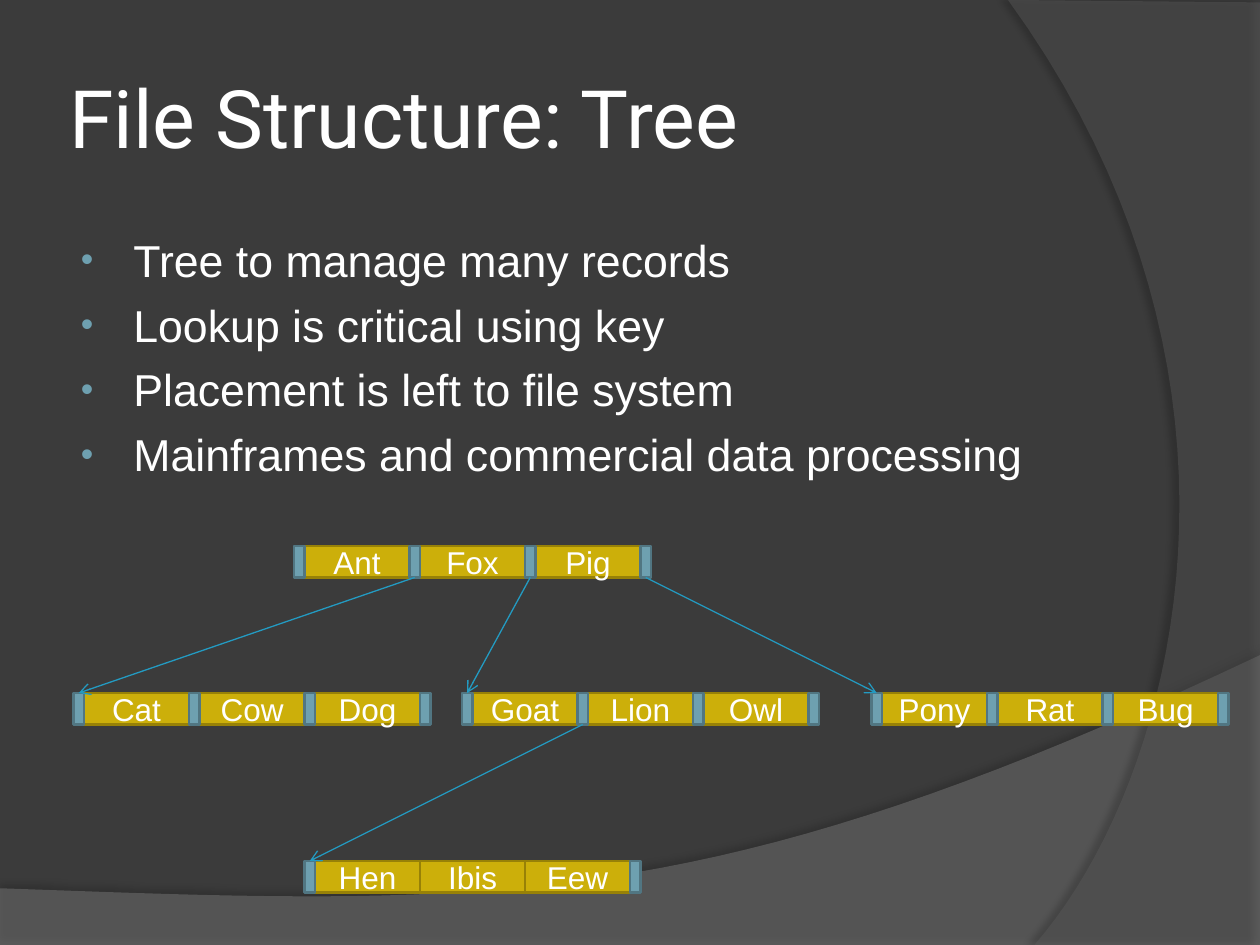
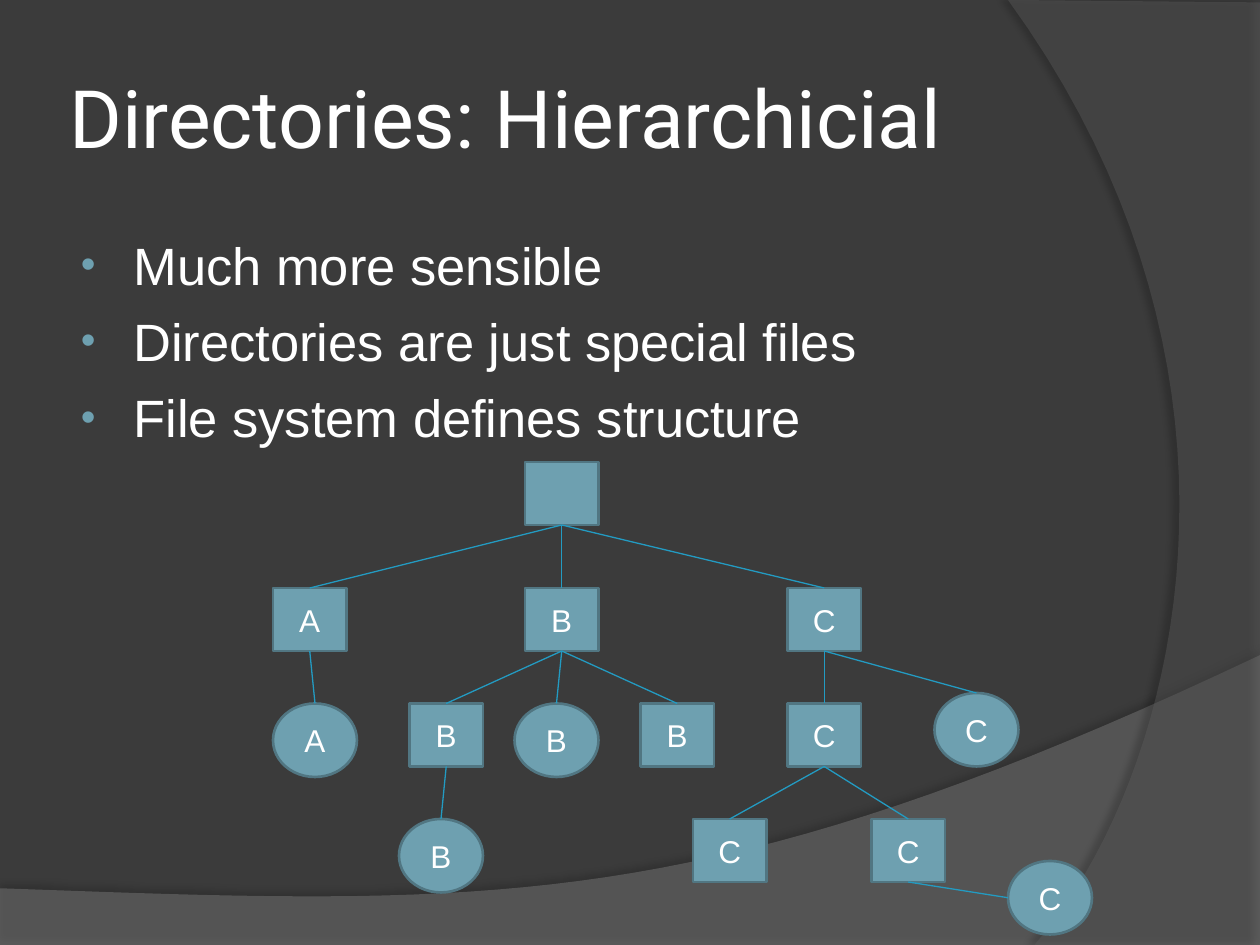
"""Builds two slides on file trees and directory trees."""
from lxml import etree
from pptx import Presentation
from pptx import util as u
from pptx.dml.color import RGBColor
from pptx.enum import shapes, text
from pptx.oxml import ns

COLORS = {
    "background": "3B3B3B", "band": "7F7F7F", "swoosh": "5E5E5E", "shadow": "000000",
    "text": "FFFFFF", "accent": "6EA0B0", "accent_edge": "517682",
    "record": "CCAF0A", "record_edge": "978107", "link": "239BC2",
}
SLIDE_WIDTH, SLIDE_HEIGHT = 720, 540
RECORD_WIDTH, RECORD_HEIGHT, POINTER_WIDTH = 60, 18, 6
FOLDER, FILE = shapes.MSO_SHAPE.RECTANGLE, shapes.MSO_SHAPE.OVAL
NODE_SIZES = {FOLDER: (42, 36), FILE: (48, 42)}
TOP, BOTTOM = 0, 2

RECORD_ROWS = {
    "root": (168, 312, ["Ant", "Fox", "Pig"], True),
    "left": (42, 396, ["Cat", "Cow", "Dog"], True),
    "middle": (264, 396, ["Goat", "Lion", "Owl"], True),
    "right": (498, 396, ["Pony", "Rat", "Bug"], True),
    "leaf": (174, 492, ["Hen", "Ibis", "Eew"], False),
}
RECORD_LINKS = [("root", 1, "left"), ("root", 2, "middle"),
                ("root", 3, "right"), ("middle", 1, "leaf")]

DIRECTORY_NODES = {
    "root": (FOLDER, 300, 264, ""),
    "a": (FOLDER, 156, 336, "A"),
    "b": (FOLDER, 300, 336, "B"),
    "c": (FOLDER, 450, 336, "C"),
    "a file": (FILE, 156, 402, "A"),
    "b left": (FOLDER, 234, 402, "B"),
    "b file": (FILE, 294, 402, "B"),
    "b right": (FOLDER, 366, 402, "B"),
    "c left": (FOLDER, 450, 402, "C"),
    "c file": (FILE, 534, 396, "C"),
    "b deep file": (FILE, 228, 468, "B"),
    "c deep left": (FOLDER, 396, 468, "C"),
    "c deep right": (FOLDER, 498, 468, "C"),
    "c deep file": (FILE, 576, 492, "C"),
}
DIRECTORY_CHILDREN = {
    "root": ["a", "b", "c"],
    "a": ["a file"],
    "b": ["b left", "b file", "b right"],
    "b left": ["b deep file"],
    "c": ["c left", "c file"],
    "c left": ["c deep left", "c deep right"],
}


def rgb(name):
    return RGBColor.from_string(COLORS[name])


def add_xml(parent, tag, **attributes):
    return etree.SubElement(parent, ns.qn(tag), attributes)


def place(shape, left, top, width, height):
    shape.left, shape.top = u.Pt(left), u.Pt(top)
    shape.width, shape.height = u.Pt(width), u.Pt(height)


def write(paragraph, content, size=18, font="Arial", color="text",
          align=text.PP_ALIGN.LEFT, before=0):
    paragraph.alignment = align
    paragraph.space_before = u.Pt(before)
    run = paragraph.add_run()
    run.text = content
    run.font.size, run.font.name = u.Pt(size), font
    run.font.color.rgb = rgb(color)


def add_bullet(paragraph):
    properties = paragraph._p.get_or_add_pPr()
    properties.set("marL", str(u.Pt(33)))
    properties.set("indent", str(u.Pt(-30)))
    add_xml(add_xml(properties, "a:buClr"), "a:srgbClr", val=COLORS["accent"])
    add_xml(properties, "a:buSzPct", val="80000")
    add_xml(properties, "a:buFont", typeface="Arial")
    add_xml(properties, "a:buChar", char="•")


def curve(start, first, second, end, steps=40):
    """Returns points along a cubic curve, without its start."""
    points = []
    for step in range(1, steps + 1):
        t = step / steps
        weights = ((1 - t) ** 3, 3 * t * (1 - t) ** 2, 3 * t * t * (1 - t), t ** 3)
        points.append(tuple(sum(w * p[axis] for w, p in zip(weights, (start, first, second, end)))
                            for axis in (0, 1)))
    return points


def add_backdrop(slide, layout, position, points, color, opacity, shade, distance, direction):
    (left, top), *others = [(u.Pt(x), u.Pt(y)) for x, y in points]
    builder = slide.shapes.build_freeform(left, top)
    builder.add_line_segments(others, close=True)
    shape = builder.convert_to_shape()
    shape.fill.solid()
    shape.fill.fore_color.rgb = rgb(color)
    shape.line.fill.background()
    shape.shadow.inherit = False
    properties = shape.element.spPr
    fill_color = properties.find(ns.qn("a:solidFill"))[0]
    add_xml(fill_color, "a:alpha", val=str(opacity * 1000))
    shadow = add_xml(properties.find(ns.qn("a:effectLst")), "a:outerShdw",
                     blurRad=str(u.Pt(4)), dist=str(u.Pt(distance)),
                     dir=str(direction * 60000), rotWithShape="0")
    shadow_color = add_xml(shadow, "a:srgbClr", val=COLORS["shadow"])
    add_xml(shadow_color, "a:alpha", val=str(shade * 1000))
    layout.shapes.element.insert(2 + position, shape.element)


def add_backdrops(slide, layout):
    right_end, left_end = (SLIDE_WIDTH, 374.4), (0, 507.6)
    band = [left_end, (0, SLIDE_HEIGHT), (SLIDE_WIDTH, SLIDE_HEIGHT), right_end]
    band += curve(right_end, (402.5, 524.9), (281.5, 517.7), left_end)[:-1]
    foot, head = (591.1, SLIDE_HEIGHT), (576, 0)
    swoosh = [(SLIDE_WIDTH, 1.4), (SLIDE_WIDTH, SLIDE_HEIGHT), foot]
    swoosh += curve(foot, (673.2, 445.7), (733, 216), head)
    add_backdrop(slide, layout, 0, band, "band", 45, 35, 3.5, 270)
    add_backdrop(slide, layout, 1, swoosh, "swoosh", 40, 45, 4, 180)


def add_list_slide(presentation, layout, title, items, size, height):
    slide = presentation.slides.add_slide(layout)
    heading, body = slide.placeholders
    place(heading, 36, 21.6, 588, 90)
    frame = heading.text_frame
    frame.auto_size = text.MSO_AUTO_SIZE.NONE
    frame.vertical_anchor = text.MSO_ANCHOR.MIDDLE
    frame.margin_left = frame.margin_right = frame.margin_top = frame.margin_bottom = u.Pt(3.6)
    write(frame.paragraphs[0], title, size=46, font="Roboto")
    place(body, 36, 126, 588, height)
    frame = body.text_frame
    frame.auto_size = text.MSO_AUTO_SIZE.NONE
    frame.margin_top = u.Pt(7)
    for index, item in enumerate(items):
        paragraph = frame.add_paragraph() if index else frame.paragraphs[0]
        add_bullet(paragraph)
        write(paragraph, item, size=size, before=size / 4 if index else 0)
    return slide


def add_box(slide, kind, left, top, width, height, color, label=""):
    shape = slide.shapes.add_shape(kind, *map(u.Pt, (left, top, width, height)))
    shape.shadow.inherit = False
    shape.fill.solid()
    shape.fill.fore_color.rgb = rgb(color)
    shape.line.color.rgb = rgb(color + "_edge")
    shape.line.width = u.Pt(1.5)
    if label:
        write(shape.text_frame.paragraphs[0], label, align=text.PP_ALIGN.CENTER)
    return shape


def add_link(slide, parent, child, arrow=False, to_left=False):
    """Joins the parent's bottom to the child's top, or ends at its left side."""
    end_y = child.top + child.height // 2
    connector = slide.shapes.add_connector(
        shapes.MSO_CONNECTOR.STRAIGHT, parent.left, parent.top, child.left, end_y)
    connector.begin_connect(parent, BOTTOM)
    if not to_left:
        connector.end_connect(child, TOP)
    connector.line.color.rgb = rgb("link")
    connector.line.width = u.Pt(0.75)
    if arrow:
        add_xml(connector.line._get_or_add_ln(), "a:tailEnd", type="arrow")
    add_xml(connector.element.spPr, "a:effectLst")


def add_record_row(slide, left, top, names, inner_pointers):
    """Draws records with pointers at both ends, and between them if asked."""
    pitch = RECORD_WIDTH + (POINTER_WIDTH if inner_pointers else 0)
    start = left + POINTER_WIDTH
    for index, name in enumerate(names):
        add_box(slide, FOLDER, start + index * pitch, top,
                RECORD_WIDTH, RECORD_HEIGHT, "record", name)
    last = start + (len(names) - 1) * pitch + RECORD_WIDTH
    inner = [left + index * pitch for index in range(1, len(names))] if inner_pointers else []
    return [add_box(slide, FOLDER, x, top, POINTER_WIDTH, RECORD_HEIGHT, "accent")
            for x in [left, *inner, last]]


def draw_record_tree(slide):
    pointers = {key: add_record_row(slide, *row) for key, row in RECORD_ROWS.items()}
    for parent, index, child in RECORD_LINKS:
        add_link(slide, pointers[parent][index], pointers[child][0], arrow=True)


def draw_directory_tree(slide):
    nodes = {key: add_box(slide, kind, left, top, *NODE_SIZES[kind], "accent", label)
             for key, (kind, left, top, label) in DIRECTORY_NODES.items()}
    for parent, children in DIRECTORY_CHILDREN.items():
        for child in children:
            add_link(slide, nodes[parent], nodes[child])
    add_link(slide, nodes["c deep right"], nodes["c deep file"], to_left=True)


def main():
    presentation = Presentation()
    presentation.slide_width, presentation.slide_height = u.Pt(SLIDE_WIDTH), u.Pt(SLIDE_HEIGHT)
    background = presentation.slide_master.background.fill
    background.solid()
    background.fore_color.rgb = rgb("background")
    layout = presentation.slide_layouts[1]

    slide = add_list_slide(presentation, layout, "File Structure: Tree", [
        "Tree to manage many records",
        "Lookup is critical using key",
        "Placement is left to file system",
        "Mainframes and commercial data processing",
    ], size=25.5, height=138)
    add_backdrops(slide, layout)
    draw_record_tree(slide)

    slide = add_list_slide(presentation, layout, "Directories: Hierarchicial", [
        "Much more sensible",
        "Directories are just special files",
        "File system defines structure",
    ], size=30, height=156)
    draw_directory_tree(slide)
    presentation.save("out.pptx")


if __name__ == "__main__":
    main()
